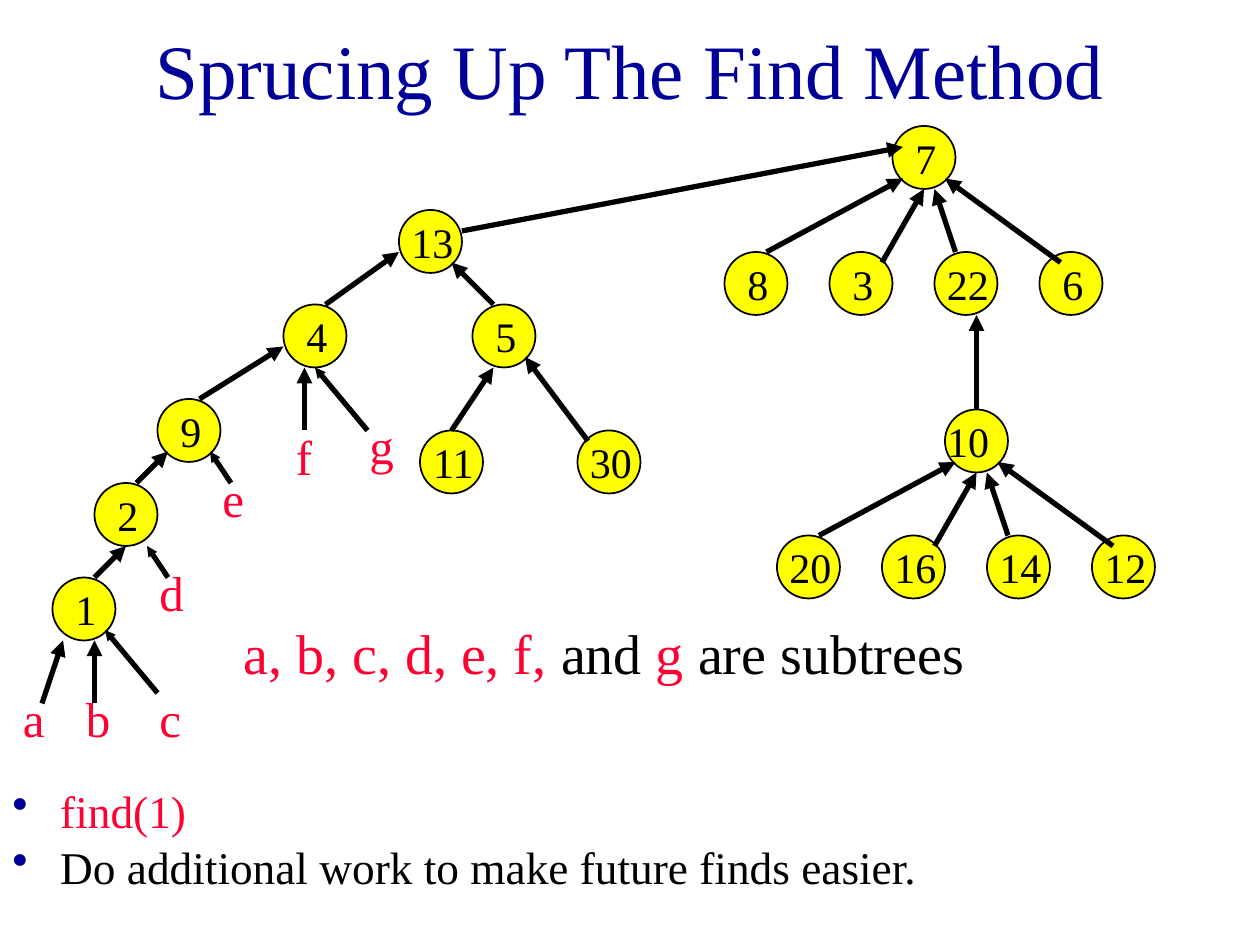
from lxml.etree import SubElement as Sub
from pptx import Presentation
from pptx.dml.color import RGBColor
from pptx.enum.shapes import MSO_CONNECTOR as Link, MSO_SHAPE as Form
from pptx.enum.text import MSO_ANCHOR as Anchor, MSO_AUTO_SIZE as Auto, PP_ALIGN as Align
from pptx.oxml.ns import qn
from pptx.util import Inches, Pt

FONT = "Times New Roman"
NAVY, RED, BLACK, YELLOW = "000099", "FF0033", "000000", "FFFF00"
NODE = 6  # node diameter in grid cells

# Left tree: label, column, row within its box
NODES = [("13", 38, 0), ("4", 27, 9), ("5", 45, 9), ("9", 15, 18),
         ("11", 40, 21), ("30", 55, 21), ("2", 9, 26), ("1", 5, 35)]
LEAVES = [("a", 1, 45), ("b", 7, 45), ("c", 14, 45), ("d", 14, 33),
          ("e", 20, 24), ("f", 27, 20), ("g", 34, 19)]
# Arrows run from child to parent
EDGES = [(31, 9, 38, 4), (47, 9, 43, 5), (19, 18, 27, 13), (13, 26, 16, 23),
         (43, 21, 47, 15), (56, 22, 50, 14), (9, 35, 12, 32),
         (4, 47, 6, 41), (9, 47, 9, 41), (29, 21, 29, 15)]
SLIM = [(15, 46, 10, 40), (16, 35, 14, 32), (22, 26, 20, 23), (35, 21, 30, 15)]

# Fan of four children below a root: column, row from the root's corner
KIDS = [(-16, 12), (-6, 12), (4, 12), (14, 12)]
RAYS = [(-12, 12, 1, 5), (-1, 13, 3, 6), (6, 12, 4, 6), (16, 13, 5, 5)]


def cell(n):
    """Length of n grid cells; the slide is 120 columns by 90 rows."""
    return Inches(n / 12)


def color(code):
    return RGBColor.from_string(code)


def style(font, size, code):
    font.name, font.size = FONT, Pt(size)
    font.color.rgb = color(code)


def text_box(slide, x, y, w, h):
    frame = slide.shapes.add_textbox(*map(cell, (x, y, w, h))).text_frame
    frame.word_wrap = True
    return frame


def add_node(slide, label, x, y, shift=0.03):
    dot = slide.shapes.add_shape(Form.OVAL, cell(x), cell(y), cell(NODE), cell(NODE))
    dot.shadow.inherit = False
    dot.fill.solid()
    dot.fill.fore_color.rgb = color(YELLOW)
    dot.line.color.rgb = color(BLACK)
    dot.line.width = Pt(1)
    frame = dot.text_frame
    frame.word_wrap = False
    frame.vertical_anchor = Anchor.MIDDLE
    frame.margin_top = frame.margin_bottom = 0
    frame.margin_left = Inches(max(shift, 0))
    frame.margin_right = Inches(max(-shift, 0))
    para = frame.paragraphs[0]
    para.text, para.alignment = label, Align.CENTER
    style(para.font, 24, BLACK)


def add_arrow(slide, x1, y1, x2, y2, head="med"):
    arrow = slide.shapes.add_connector(Link.STRAIGHT, *map(cell, (x1, y1, x2, y2)))
    arrow.line.color.rgb = color(BLACK)
    arrow.line.width = Pt(3)
    props = arrow.line._get_or_add_ln()
    Sub(props, qn("a:tailEnd"), type="triangle", w=head, len=head)
    Sub(arrow._element.spPr, qn("a:effectLst"))


def add_title(slide, x, y, w, h):
    title = slide.shapes.title
    title.left, title.top, title.width, title.height = map(cell, (x, y, w, h))
    frame = title.text_frame
    frame.text = "Sprucing Up The Find Method"
    frame.auto_size = Auto.NONE
    frame.vertical_anchor = Anchor.MIDDLE
    frame.paragraphs[0].alignment = Align.CENTER
    style(frame.paragraphs[0].font, 44, NAVY)


def add_tree(slide, x, y):
    for label, dx, dy in NODES:
        add_node(slide, label, x + dx, y + dy)
    for label, dx, dy in LEAVES:
        para = text_box(slide, x + dx, y + dy, 7, 6.8).paragraphs[0]
        para.text = label
        style(para.font, 28, RED)
    for edges, head in ((EDGES, "med"), (SLIM, "sm")):
        for x1, y1, x2, y2 in edges:
            add_arrow(slide, x + x1, y + y1, x + x2, y + y2, head)


def add_fan(slide, x, y, root, labels, shift=0.03):
    add_node(slide, root, x, y, shift)
    for label, (dx, dy) in zip(labels, KIDS):
        add_node(slide, label, x + dx, y + dy)
    for x1, y1, x2, y2 in RAYS:
        add_arrow(slide, x + x1, y + y1, x + x2, y + y2)


def add_key(slide, x, y, w, h):
    para = text_box(slide, x, y, w, h).paragraphs[0]
    para.line_spacing = 0.9
    for part, code in (("a, b, c, d, e, f,", RED), (" and ", BLACK),
                       ("g", RED), (" are subtrees", BLACK)):
        run = para.add_run()
        run.text = part
        style(run.font, 32, code)


def add_points(slide, x, y, w, h):
    frame = text_box(slide, x, y, w, h)
    points = (("find(1)", RED), ("Do additional work to make future finds easier.", BLACK))
    for i, (text, code) in enumerate(points):
        para = frame.add_paragraph() if i else frame.paragraphs[0]
        para.text = text
        para.line_spacing = 0.8
        para.space_before = Pt(7 if i else 0)
        props = para._p.get_or_add_pPr()
        props.set("marL", str(Inches(0.38)))
        props.set("indent", str(-Inches(0.38)))
        Sub(Sub(props, qn("a:buClr")), qn("a:srgbClr"), val=NAVY)
        Sub(props, qn("a:buChar"), char="•")
        style(para.font, 25.9, code)


def main():
    deck = Presentation()
    deck.slide_width, deck.slide_height = cell(120), cell(90)
    slide = deck.slides.add_slide(deck.slide_layouts[5])
    add_title(slide, 9, 2, 102, 9)
    # Trees
    add_tree(slide, 0, 20)
    add_fan(slide, 85, 12, "7", ("8", "3", "22", "6"))
    add_fan(slide, 90, 39, "10", ("20", "16", "14", "12"), shift=-0.13)
    # Links between trees
    add_arrow(slide, 44, 22, 86, 14)
    add_arrow(slide, 93, 39, 93, 30)
    # Text below
    add_key(slide, 22, 59, 82, 16.7)
    add_points(slide, 0, 75, 120, 11)
    deck.save("out.pptx")


if __name__ == "__main__":
    main()
